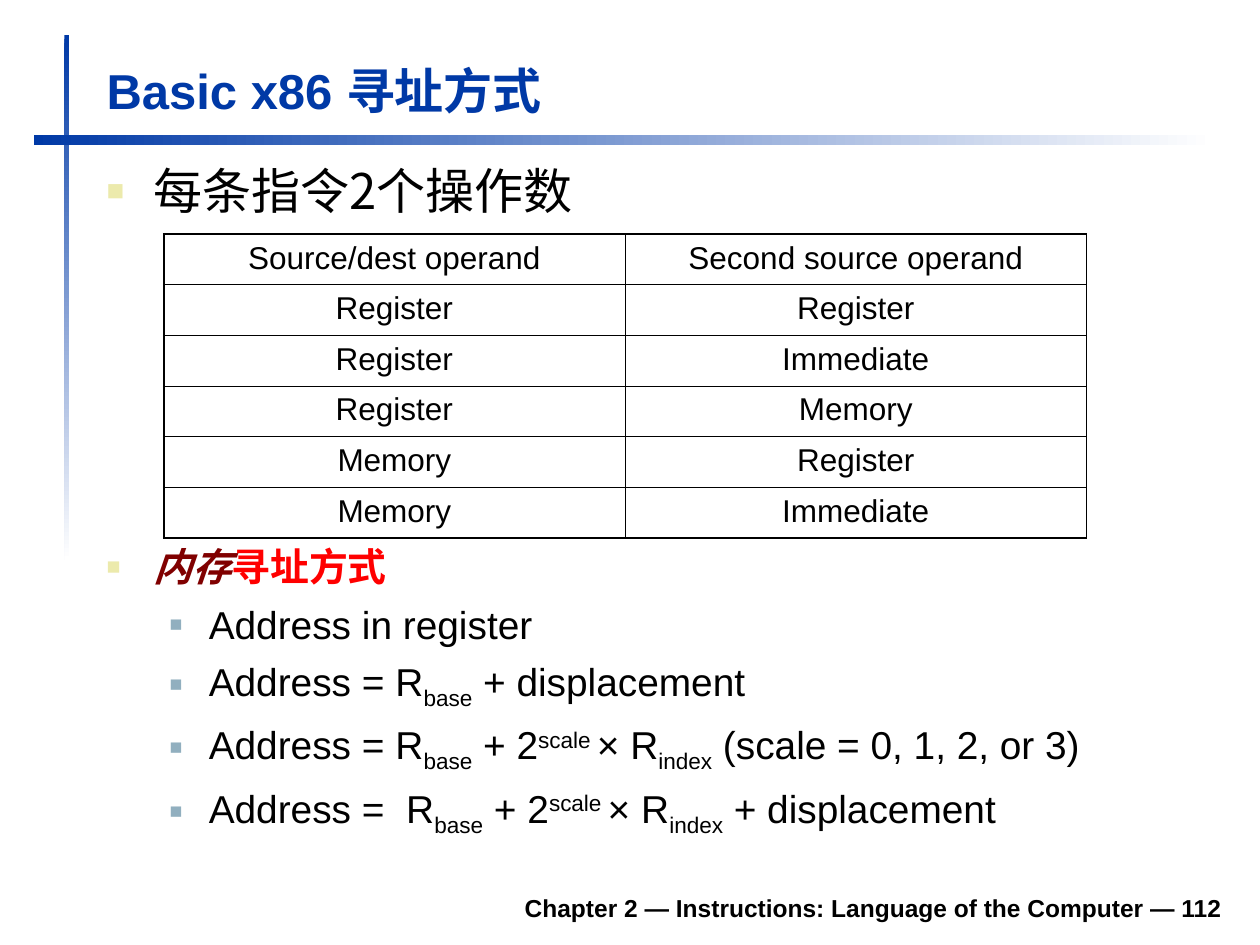
from lxml import etree
from pptx import Presentation
from pptx.dml.color import RGBColor
from pptx.enum.shapes import MSO_SHAPE
from pptx.enum.text import MSO_ANCHOR, PP_ALIGN
from pptx.oxml.ns import qn
from pptx.util import Cm, Pt

RECT = MSO_SHAPE.RECTANGLE
BOTTOM = MSO_ANCHOR.BOTTOM
LEFT, CENTER, RIGHT = PP_ALIGN.LEFT, PP_ALIGN.CENTER, PP_ALIGN.RIGHT


class Theme:
    latin, cjk = "Arial", "Noto Sans CJK SC"
    blue, white, black = "0039A6", "FFFFFF", "000000"
    maroon, red = "800000", "FF0000"
    bullet1, bullet2 = "ECEAAC", "91AFBF"
    heading, body, cell, footer = 28, 22.2, 18, 14
    outer, inner = 1.08, 0.45


def add_text(p, text, size=Theme.body, font=Theme.latin, color=Theme.black,
             bold=False, italic=False, baseline=0, align=LEFT):
    p.alignment = align
    r = p.add_run()
    r.text = text
    r.font.size = Pt(size)
    r.font.name = font
    r.font.bold = bold
    r.font.italic = italic
    r.font.color.rgb = RGBColor.from_string(color)
    rPr = r._r.get_or_add_rPr()
    etree.SubElement(rPr, qn("a:ea")).set("typeface", Theme.cjk)
    if baseline:
        rPr.set("baseline", str(baseline * 1000))


def add_bullet(p, color, percent, margin, hanging):
    pPr = p._p.get_or_add_pPr()
    pPr.set("marL", str(Cm(margin)))
    pPr.set("indent", str(-Cm(hanging)))
    buClr = etree.SubElement(pPr, qn("a:buClr"))
    etree.SubElement(buClr, qn("a:srgbClr")).set("val", color)
    etree.SubElement(pPr, qn("a:buSzPct")).set("val", str(percent * 1000))
    etree.SubElement(pPr, qn("a:buFont")).set("typeface", Theme.latin)
    etree.SubElement(pPr, qn("a:buChar")).set("char", "■")


prs = Presentation()
prs.slide_width, prs.slide_height = Cm(25.4), Cm(19.05)
s = prs.slides.add_slide(prs.slide_layouts[6])

bars = [(1.3, 0.71, 0.1, 10.59, 270), (0.68, 2.72, 23.8, 0.2, 0)]
for x, y, w, h, angle in bars:
    sp = s.shapes.add_shape(RECT, Cm(x), Cm(y), Cm(w), Cm(h))
    sp.shadow.inherit = False
    sp.line.fill.background()
    sp.fill.gradient()
    sp.fill.gradient_angle = angle
    for stop, color in zip(sp.fill.gradient_stops, (Theme.blue, Theme.white)):
        stop.color.rgb = RGBColor.from_string(color)

frames = []
for x, y, w, h in [(4.7, 17.73, 20.19, 0.99), (1.9, 1.09, 22.94, 1.45),
                   (1.9, 3.12, 22.96, 1.8), (1.9, 10.92, 22.96, 6.4)]:
    tf = s.shapes.add_textbox(Cm(x), Cm(y), Cm(w), Cm(h)).text_frame
    tf.word_wrap = True
    frames.append(tf)
footer, title, lead, modes = frames

footer.vertical_anchor = title.vertical_anchor = BOTTOM
add_text(footer.paragraphs[0], "Chapter 2 — Instructions: Language of the Computer — 112",
         size=Theme.footer, bold=True, align=RIGHT)
add_text(title.paragraphs[0], "Basic x86 寻址方式",
         size=Theme.heading, color=Theme.blue, bold=True)

p = lead.paragraphs[0]
add_bullet(p, Theme.bullet1, 60, 0.95, 0.95)
add_text(p, "每条指令2个操作数", size=Theme.heading, font=Theme.cjk)

operands = [
    ("Source/dest operand", "Second source operand"),
    ("Register", "Register"),
    ("Register", "Immediate"),
    ("Register", "Memory"),
    ("Memory", "Register"),
    ("Memory", "Immediate"),
]
rows, cols = len(operands), len(operands[0])
table = s.shapes.add_table(rows, cols, Cm(3.3), Cm(4.72), Cm(18.6), Cm(6.1)).table
table.first_row = table.horz_banding = False
for row in table.rows:
    row.height = Cm(1.02)
for i, texts in enumerate(operands):
    for j, text in enumerate(texts):
        cell = table.cell(i, j)
        tcPr = cell._tc.get_or_add_tcPr()
        edges = {"L": j == 0, "R": j == cols - 1, "T": i == 0, "B": i == rows - 1}
        for side, is_outer in edges.items():
            ln = etree.SubElement(tcPr, qn(f"a:ln{side}"))
            ln.set("w", str(Pt(Theme.outer if is_outer else Theme.inner)))
            fill = etree.SubElement(ln, qn("a:solidFill"))
            etree.SubElement(fill, qn("a:srgbClr")).set("val", Theme.black)
        cell.fill.background()
        add_text(cell.text_frame.paragraphs[0], text, size=Theme.cell, align=CENTER)

p = modes.paragraphs[0]
p.line_spacing = 0.9
add_bullet(p, Theme.bullet1, 60, 0.95, 0.95)
add_text(p, "内存", font=Theme.cjk, color=Theme.maroon, bold=True, italic=True)
add_text(p, "寻址方式", font=Theme.cjk, color=Theme.red, bold=True)

base = ("base", -25)
scaled_index = [base, (" + 2", 0), ("scale ", 30), ("× R", 0), ("index", -25)]
formulas = [
    [("Address in register", 0)],
    [("Address = R", 0), base, (" + displacement", 0)],
    [("Address = R", 0), *scaled_index, (" (scale = 0, 1, 2, or 3)", 0)],
    [("Address =  R", 0), *scaled_index, (" + displacement", 0)],
]
for formula in formulas:
    p = modes.add_paragraph()
    p.level = 1
    p.space_before = Pt(6)
    add_bullet(p, Theme.bullet2, 55, 2.06, 0.79)
    for text, baseline in formula:
        add_text(p, text, baseline=baseline)

prs.save("out.pptx")
